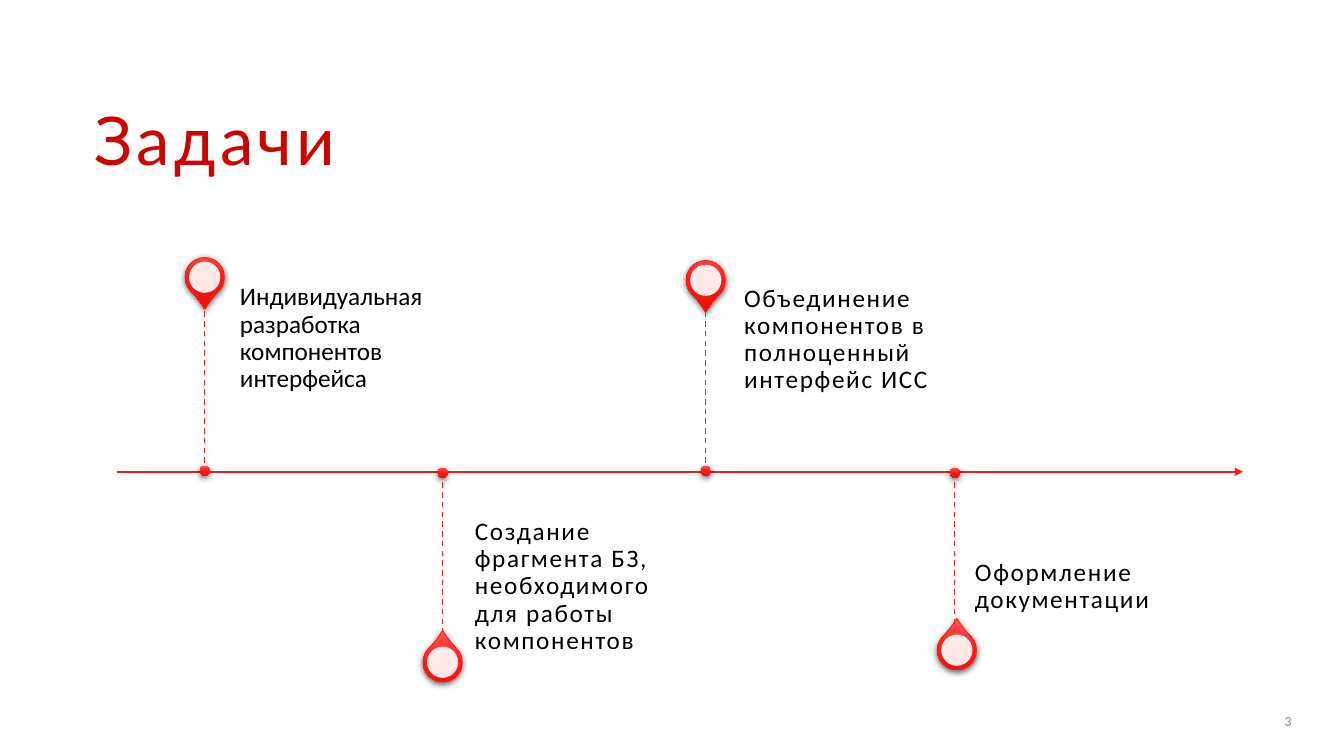
"""Build the project tasks timeline slide."""
from lxml import etree
from pptx import Presentation
from pptx import util as u
from pptx.dml.color import RGBColor
from pptx.enum import dml, shapes, text
from pptx.oxml import parse_xml
from pptx.oxml.ns import nsdecls, qn

SCALE = 9144
RED, TITLE_RED, BLACK, GREY, WHITE = "FD1B17", "CD0502", "000000", "898989", "FFFFFF"
GLOSS = [(0, "FF4F4E"), (50, "FF1915"), (100, "E51410")]
PIN, HOLE, DOT = 39, 31, 10
AXIS = dict(left=116, right=1233, y=468)
STEM = 158

TITLE = ("Задачи", (84, 84, 924, 118))
NUMBER = ("3", (1123, 695, 168, 40))
TASKS = [
    dict(label="Индивидуальная разработка компонентов интерфейса", above=True,
         stem=203, pin=(203, 275), box=(238, 263, 214, 146), inset=25, spacing=0),
    dict(label="Создание фрагмента БЗ, необходимого для работы компонентов", above=False,
         stem=439, pin=(439, 657), box=(471, 484, 195, 196), inset=12, spacing=1.2),
    dict(label="Объединение компонентов в полноценный интерфейс ИСС", above=True,
         stem=700, pin=(700, 278), box=(738, 272, 260, 130), inset=12, spacing=1.2),
    dict(label="Оформление документации", above=False,
         stem=947, pin=(949, 645), box=(967, 517, 260, 130), inset=12, spacing=1.2),
]


def px(*lengths):
    return [u.Emu(round(length * SCALE)) for length in lengths]


def color(hex_code):
    return RGBColor.from_string(hex_code)


def add_label(slide, words, box, size, hex_code, font="Calibri", spacing=0, inset=None,
              align=text.PP_ALIGN.LEFT, leading=0.9):
    label = slide.shapes.add_textbox(*px(*box))
    frame = label.text_frame
    frame.word_wrap = True
    frame.vertical_anchor = text.MSO_ANCHOR.MIDDLE
    if inset is not None:
        frame.margin_left = frame.margin_top = frame.margin_bottom = 0
        frame.margin_right = px(inset)[0]
    frame.text = words
    paragraph = frame.paragraphs[0]
    paragraph.alignment = align
    paragraph.line_spacing = leading
    run = paragraph.runs[0]
    run.font.name = font
    run.font.size = u.Pt(size)
    run.font.color.rgb = color(hex_code)
    if spacing:
        run.font._element.set("spc", str(round(spacing * 100)))


def add_line(slide, start, end, width, dashed=False):
    line = slide.shapes.add_connector(shapes.MSO_CONNECTOR.STRAIGHT, *px(*start, *end))
    line.line.color.rgb = color(RED)
    line.line.width = u.Pt(width)
    if dashed:
        line.line.dash_style = dml.MSO_LINE.DASH
    etree.SubElement(line._element.spPr, qn("a:effectLst"))
    return line


def add_round(slide, preset, center, size):
    x, y = center
    part = slide.shapes.add_shape(preset, *px(x - size / 2, y - size / 2, size, size))
    part.line.fill.background()
    part.shadow.inherit = False
    return part


def make_glossy(part):
    stops = "".join(f'<a:gs pos="{pos * 1000}"><a:srgbClr val="{tone}"/></a:gs>'
                    for pos, tone in GLOSS)
    properties = part._element.spPr
    properties.insert(2, parse_xml(
        f'<a:gradFill {nsdecls("a")} rotWithShape="0"><a:gsLst>{stops}</a:gsLst>'
        '<a:lin ang="5400000" scaled="0"/></a:gradFill>'))
    properties.find(qn("a:effectLst")).append(parse_xml(
        f'<a:outerShdw {nsdecls("a")} blurRad="57150" dist="19050" dir="5400000" '
        'algn="ctr" rotWithShape="0"><a:srgbClr val="000000"><a:alpha val="63000"/>'
        '</a:srgbClr></a:outerShdw>'))


def add_task(slide, task):
    pin = add_round(slide, shapes.MSO_SHAPE.TEAR, task["pin"], PIN)
    pin.adjustments[0] = 1.15
    pin.rotation = 135 if task["above"] else 315
    pin.line.color.rgb = color(RED)
    pin.line.width = u.Pt(0.5)
    make_glossy(pin)

    hole = add_round(slide, shapes.MSO_SHAPE.OVAL, task["pin"], HOLE)
    hole.fill.solid()
    hole.fill.fore_color.rgb = color(WHITE)
    tone = hole._element.spPr.find(qn("a:solidFill"))[0]
    etree.SubElement(tone, qn("a:alpha")).set("val", "90000")

    add_label(slide, task["label"], task["box"], 18, BLACK,
              spacing=task["spacing"], inset=task["inset"])

    side = -1 if task["above"] else 1
    foot = (task["stem"], AXIS["y"] + side)
    tip = (task["stem"], foot[1] + side * STEM)
    add_line(slide, *sorted([foot, tip]), 1, dashed=True)
    make_glossy(add_round(slide, shapes.MSO_SHAPE.OVAL, foot, DOT))


def main():
    deck = Presentation()
    deck.slide_width, deck.slide_height = px(1333, 750)
    slide = deck.slides.add_slide(deck.slide_layouts[6])
    add_label(slide, *TITLE, 48, TITLE_RED, font="Lato", spacing=3)
    axis = add_line(slide, (AXIS["left"], AXIS["y"]), (AXIS["right"], AXIS["y"]), 1.5)
    etree.SubElement(axis.line._get_or_add_ln(), qn("a:tailEnd")).set("type", "triangle")
    for task in TASKS:
        add_task(slide, task)
    add_label(slide, *NUMBER, 10, GREY, align=text.PP_ALIGN.RIGHT, leading=1.0)
    deck.save("out.pptx")


if __name__ == "__main__":
    main()
